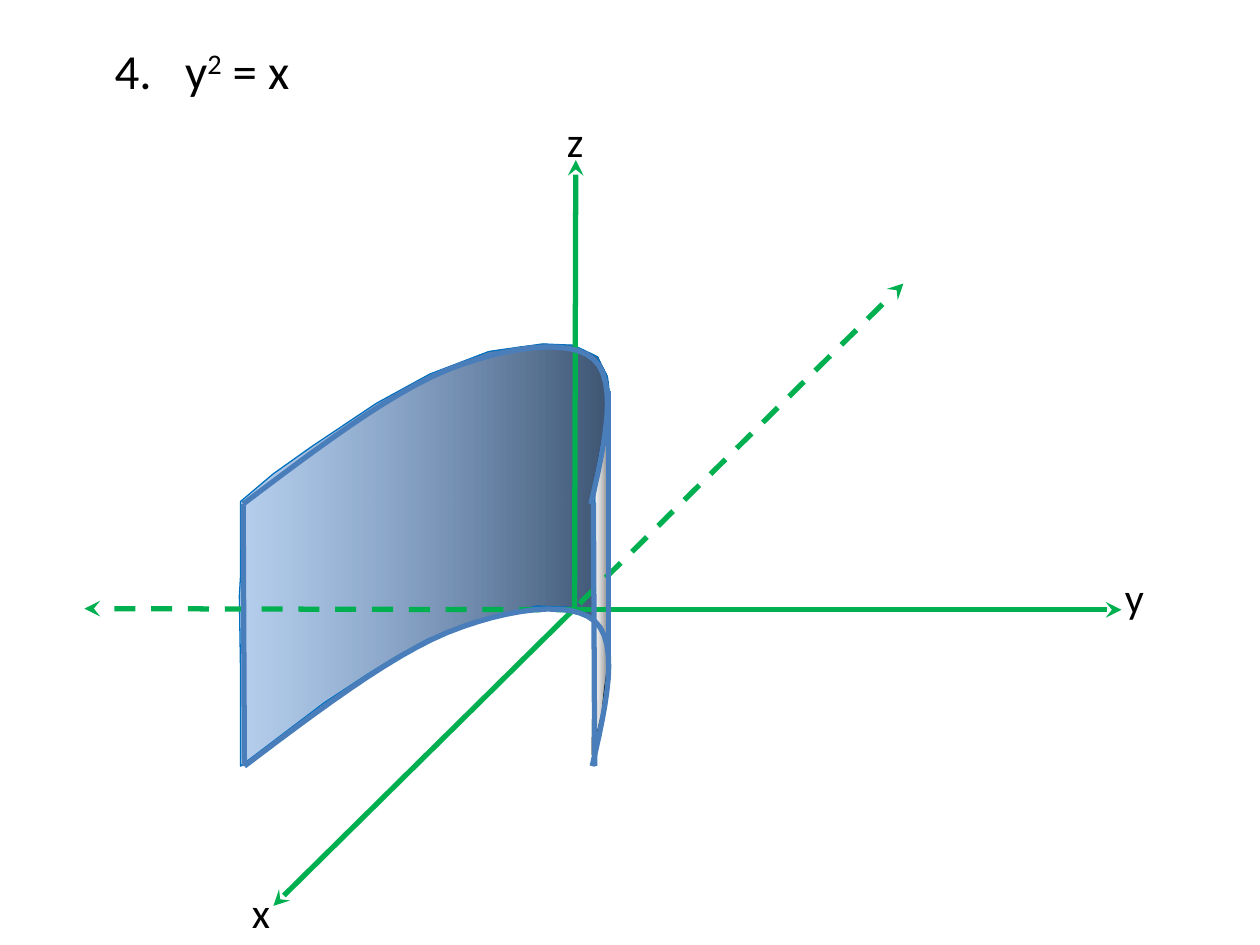
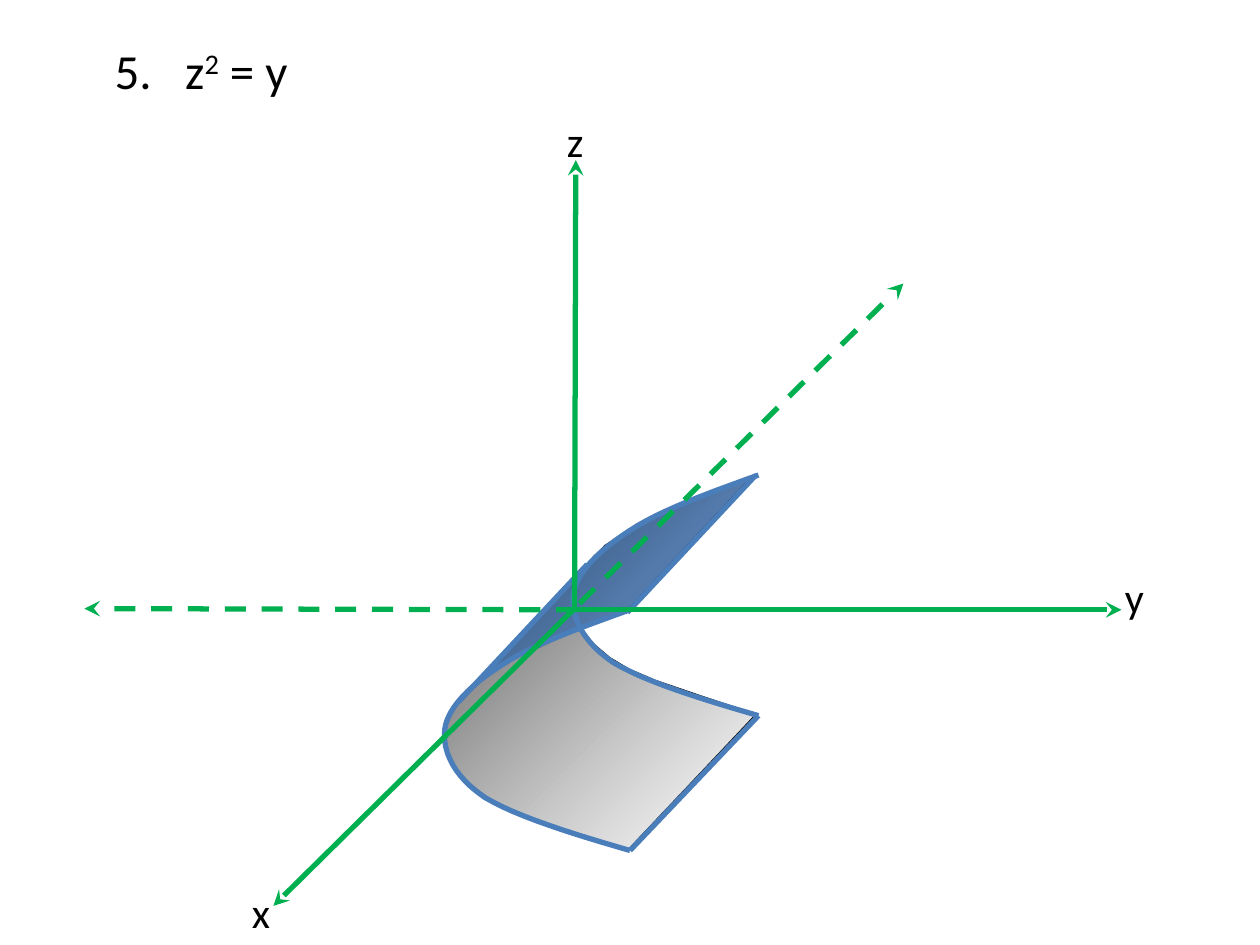
"""Build two slides that sketch parabolic cylinders on shared 3D axes."""
from dataclasses import dataclass

from lxml import etree
from pptx import Presentation
from pptx.dml.color import RGBColor
from pptx.enum.dml import MSO_LINE
from pptx.enum.shapes import MSO_CONNECTOR
from pptx.enum.text import MSO_ANCHOR, MSO_AUTO_SIZE, PP_ALIGN
from pptx.oxml.ns import qn
from pptx.util import Inches, Pt

STRAIGHT = MSO_CONNECTOR.STRAIGHT
DASH = MSO_LINE.DASH
TOP = MSO_ANCHOR.TOP
LEFT = PP_ALIGN.LEFT
NO_AUTOFIT = MSO_AUTO_SIZE.NONE
GROW = MSO_AUTO_SIZE.SHAPE_TO_FIT_TEXT

FONT = "Calibri"
TITLE_LAYOUT = 5
CURVE_STEPS = 12
THICK = 3
THIN = 0.75
COLORS = {
    "text": "000000",
    "axis": "00B050",
    "outline": "4A7EBB",
    "edge": "0070C0",
    "light_blue": "548DD4",
    "dark_blue": "274162",
    "gray": "767676",
    "white": "FFFFFF",
}

Point = tuple[float, float]


@dataclass(frozen=True)
class Line:
    """A straight line between two points in inches."""
    start: Point
    end: Point
    color: str = "outline"
    dashed: bool = False
    arrow: bool = False


@dataclass(frozen=True)
class Label:
    """A letter at the end of an axis."""
    text: str
    left: float
    top: float
    width: float


@dataclass(frozen=True)
class Face:
    """A shaded side of the surface; each stop is a colour and its opacity."""
    points: list[Point]
    stops: tuple[tuple[str, int], tuple[str, int]]
    angle: int
    border: str = "text"


@dataclass(frozen=True)
class Surface:
    """A cylinder with its equation, faces, rim curve, rim shift and edges."""
    number: str
    base: str
    result: str
    faces: list[Face]
    rim: list[Point]
    shift: Point
    edges: list[Line]
    axes_in_front: bool


AXES = [
    Line((4.56, 4.83), (2.17, 7.19), "axis", arrow=True),
    Line((4.56, 4.84), (8.9, 4.84), "axis", arrow=True),
    Line((4.56, 4.85), (4.57, 1.27), "axis", arrow=True),
    Line((4.58, 4.84), (0.67, 4.83), "axis", dashed=True, arrow=True),
    Line((4.6, 4.79), (7.17, 2.25), "axis", dashed=True, arrow=True),
]
AXIS_LABELS = [
    Label("y", 8.83, 4.49, 0.35),
    Label("x", 1.9, 6.99, 0.34),
    Label("z", 4.4, 0.87, 0.33),
]

UPRIGHT = Surface(
    number="4.", base="y", result="x",
    faces=[
        Face([(4.82, 3.28), (4.83, 5.26), (4.8, 5.46), (4.78, 5.65), (4.7, 5.99),
              (4.71, 5.28), (4.7, 3.9)],
             (("white", 38), ("gray", 100)), 0),
        Face([(1.9, 4.73), (1.91, 4.56), (1.91, 3.98), (2.17, 3.76), (2.48, 3.54),
              (2.99, 3.2), (3.41, 2.97), (3.88, 2.79), (4.09, 2.76), (4.31, 2.73),
              (4.55, 2.74), (4.74, 2.83), (4.82, 2.99), (4.84, 3.15), (4.8, 3.46),
              (4.72, 3.94), (4.71, 4.91), (4.53, 4.82), (4.26, 4.81), (3.84, 4.91),
              (3.4, 5.07), (3.13, 5.22), (2.92, 5.35), (2.57, 5.58), (1.91, 6.08),
              (1.91, 5.36)],
             (("light_blue", 42), ("dark_blue", 90)), 0, "edge"),
    ],
    rim=[(1.94, 6.08), (2.51, 5.65), (3.09, 5.21), (3.55, 5.02), (4.02, 4.83),
         (4.53, 4.76), (4.72, 4.93), (4.92, 5.11), (4.81, 5.6), (4.7, 6.08)],
    shift=(-0.01, -2.08),
    edges=[Line((1.93, 4), (1.94, 6.08)), Line((4.83, 3.1), (4.83, 5.19)),
           Line((4.71, 3.99), (4.72, 6.08))],
    axes_in_front=False,
)

SIDEWAYS = Surface(
    number="5.", base="z", result="y",
    faces=[
        Face([(4.8, 4.33), (5.03, 4.18), (5.32, 4.03), (5.97, 3.78), (4.98, 4.84),
              (4.58, 4.99), (4.25, 5.12), (3.95, 5.29), (3.72, 5.47)],
             (("dark_blue", 100), ("light_blue", 82)), 45),
        Face([(4.61, 4.98), (4.71, 5.11), (4.84, 5.22), (4.99, 5.31), (5.2, 5.4),
              (5.58, 5.53), (6, 5.67), (4.99, 6.74), (4.74, 6.67), (4.51, 6.59),
              (4.29, 6.52), (4.06, 6.43), (3.93, 6.37), (3.84, 6.31), (3.74, 6.23),
              (3.69, 6.18), (3.62, 6.1), (3.58, 6.03), (3.55, 5.96), (3.53, 5.88),
              (3.54, 5.74), (3.6, 5.61), (3.83, 5.38), (4.03, 5.25), (4.27, 5.14)],
             (("gray", 100), ("white", 76)), 45),
    ],
    rim=[(6.02, 5.68), (5.57, 5.55), (5.12, 5.41), (4.87, 5.26), (4.63, 5.1),
         (4.53, 4.9), (4.55, 4.72), (4.57, 4.55), (4.75, 4.37), (5, 4.21),
         (5.24, 4.05), (5.63, 3.91), (6.02, 3.77)],
    shift=(-1.02, 1.07),
    edges=[Line((5, 6.75), (6.02, 5.68)), Line((4.98, 4.86), (6, 3.77)),
           Line((3.64, 5.57), (4.66, 4.48))],
    axes_in_front=True,
)


def rgb(name: str) -> RGBColor:
    """Return a palette colour."""
    return RGBColor.from_string(COLORS[name])


def style_font(font, size: int) -> None:
    """Apply the common typeface and colour."""
    font.name = FONT
    font.size = Pt(size)
    font.color.rgb = rgb("text")


def style_line(line, color: str, width: float) -> None:
    """Set the colour and width of a line."""
    line.color.rgb = rgb(color)
    line.width = Pt(width)


def curve_points(controls: list[Point]) -> list[Point]:
    """Sample a chain of cubic Bezier curves."""
    points = [controls[0]]
    for first in range(0, len(controls) - 1, 3):
        section = controls[first:first + 4]
        for step in range(1, CURVE_STEPS + 1):
            t = step / CURVE_STEPS
            weights = ((1 - t) ** 3, 3 * t * (1 - t) ** 2, 3 * t * t * (1 - t), t ** 3)
            x, y = (sum(weight * value for weight, value in zip(weights, values))
                    for values in zip(*section))
            points.append((x, y))
    return points


def add_outline(slide, points: list[Point], close: bool):
    """Add a freeform through the points."""
    vertices = [(Inches(x), Inches(y)) for x, y in points]
    builder = slide.shapes.build_freeform(*vertices[0])
    builder.add_line_segments(vertices[1:], close=close)
    shape = builder.convert_to_shape()
    shape.shadow.inherit = False
    return shape


def add_face(slide, face: Face) -> None:
    """Add a face with a translucent gradient."""
    shape = add_outline(slide, face.points, close=True)
    shape.fill.gradient()
    shape.fill.gradient_angle = -face.angle % 360
    for position, (stop, (color, _)) in enumerate(zip(shape.fill.gradient_stops, face.stops)):
        stop.color.rgb = rgb(color)
        stop.position = position
    color_elements = list(shape.element.spPr.iter(qn("a:srgbClr")))
    for element, (_, opacity) in zip(color_elements, face.stops):
        etree.SubElement(element, qn("a:alpha"), val=str(opacity * 1000))
    style_line(shape.line, face.border, THIN)


def add_line(slide, line: Line) -> None:
    """Add a straight connector, dashed or with an arrowhead if asked."""
    connector = slide.shapes.add_connector(
        STRAIGHT, *(Inches(value) for value in line.start + line.end))
    style_line(connector.line, line.color, THICK)
    if line.dashed:
        connector.line.dash_style = DASH
    if line.arrow:
        etree.SubElement(connector.get_or_add_ln(), qn("a:tailEnd"), type="stealth")
    etree.SubElement(connector.element.spPr, qn("a:effectLst"))


def add_label(slide, label: Label) -> None:
    """Add an axis letter."""
    box = slide.shapes.add_textbox(
        Inches(label.left), Inches(label.top), Inches(label.width), Inches(0.5))
    frame = box.text_frame
    frame.text = label.text
    frame.word_wrap = False
    frame.auto_size = GROW
    style_font(frame.paragraphs[0].runs[0].font, 24)


def add_axes(slide) -> None:
    """Add the axes and their letters."""
    for axis in AXES:
        add_line(slide, axis)
    for label in AXIS_LABELS:
        add_label(slide, label)


def add_rims(slide, surface: Surface) -> None:
    """Add the two parallel rim curves and the straight edges."""
    for shift_x, shift_y in ((0, 0), surface.shift):
        points = [(x + shift_x, y + shift_y) for x, y in curve_points(surface.rim)]
        rim = add_outline(slide, points, close=False)
        rim.fill.background()
        style_line(rim.line, "outline", THICK)
    for edge in surface.edges:
        add_line(slide, edge)


def set_title(slide, surface: Surface) -> None:
    """Write the numbered equation in the title placeholder."""
    title = slide.shapes.title
    title.left, title.top = Inches(0.25), Inches(0.27)
    title.width, title.height = Inches(3.42), Inches(0.57)
    frame = title.text_frame
    frame.auto_size = NO_AUTOFIT
    frame.vertical_anchor = TOP
    frame.margin_left = Inches(0.66)
    paragraph = frame.paragraphs[0]
    paragraph.text = f"{surface.number}\t{surface.base}"
    paragraph.alignment = LEFT
    tabs = etree.SubElement(paragraph._p.get_or_add_pPr(), qn("a:tabLst"))
    etree.SubElement(tabs, qn("a:tab"), pos=str(Inches(0.56)), algn="l")
    for text in ("2", f" = {surface.result}"):
        paragraph.add_run().text = text
    for run in paragraph.runs:
        style_font(run.font, 28)
    paragraph.runs[1]._r.get_or_add_rPr().set("baseline", "30000")


def add_surface_slide(presentation, surface: Surface) -> None:
    """Add one slide with its equation, surface and axes."""
    slide = presentation.slides.add_slide(presentation.slide_layouts[TITLE_LAYOUT])
    set_title(slide, surface)
    for face in surface.faces:
        add_face(slide, face)
    if surface.axes_in_front:
        add_rims(slide, surface)
        add_axes(slide)
    else:
        add_axes(slide)
        add_rims(slide, surface)


def main() -> None:
    """Build and save the presentation."""
    presentation = Presentation()
    presentation.slide_width, presentation.slide_height = Inches(10), Inches(7.5)
    for surface in (UPRIGHT, SIDEWAYS):
        add_surface_slide(presentation, surface)
    presentation.save("out.pptx")


if __name__ == "__main__":
    main()
